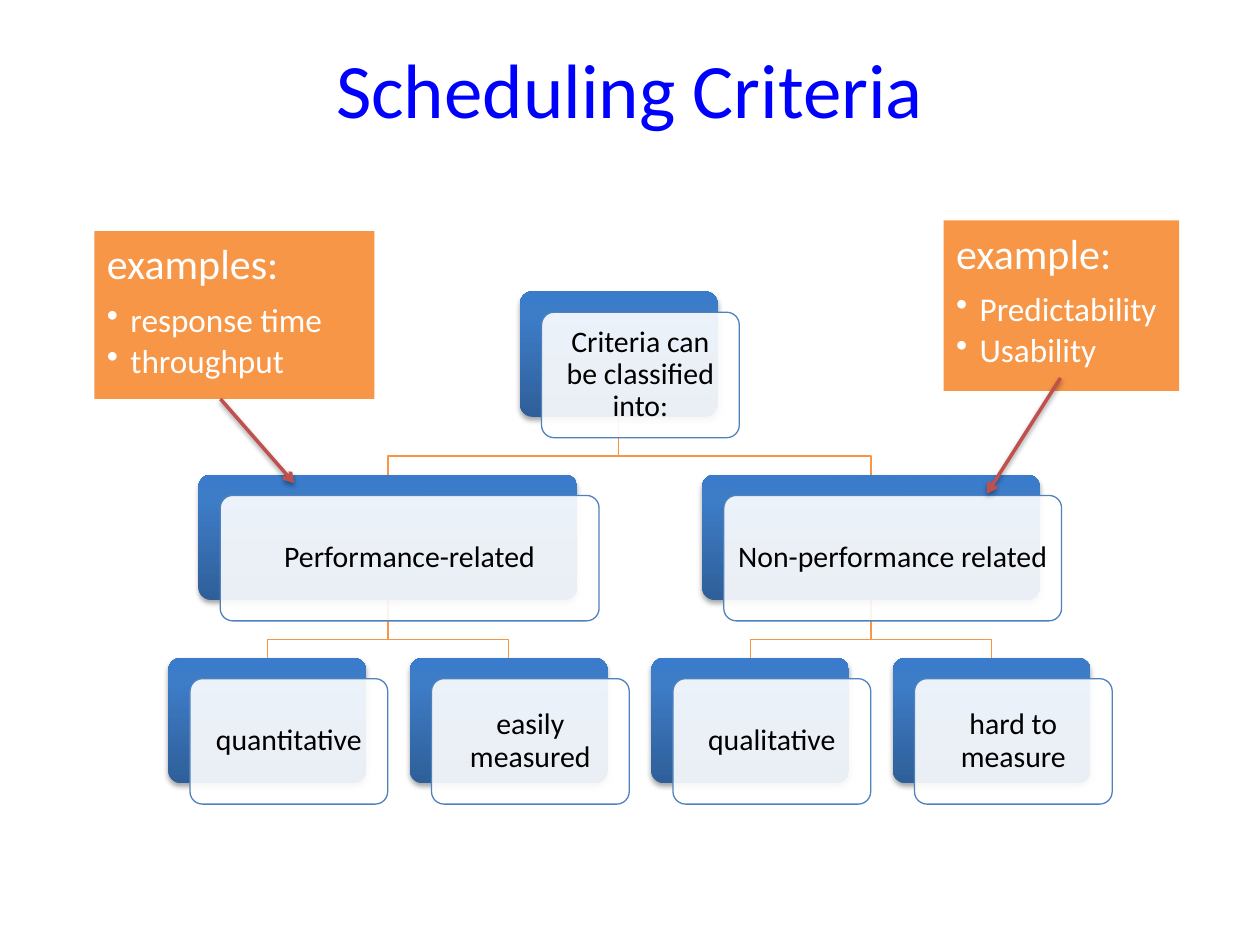
from dataclasses import dataclass

from lxml import etree
from pptx import Presentation
from pptx.dml.color import RGBColor
from pptx.enum.shapes import MSO_CONNECTOR, MSO_SHAPE
from pptx.enum.text import MSO_ANCHOR, PP_ALIGN
from pptx.oxml import parse_xml
from pptx.oxml.ns import nsdecls, qn
from pptx.util import Pt

CENTER, LEFT = PP_ALIGN.CENTER, PP_ALIGN.LEFT
MIDDLE, TOP = MSO_ANCHOR.MIDDLE, MSO_ANCHOR.TOP
RECT, ROUNDED = MSO_SHAPE.RECTANGLE, MSO_SHAPE.ROUNDED_RECTANGLE
STRAIGHT = MSO_CONNECTOR.STRAIGHT

FONT = "Calibri"
COLORS = {
    "title": "0000FF", "black": "000000", "white": "FFFFFF",
    "orange": "F79646", "outline": "4F81BD", "arrow": "C0504D",
}
CARD_GRADIENT = ((0, "2F5F99"), (80, "3D7CC7"), (100, "3A7CCB"))

LEVEL_TOP, LEVEL_STEP = 166.5, 104.7
LEAF_X, LEAF_STEP = 152.7, 138
LEAF_W, CARD_H = 113, 71.7
CARD_DX, CARD_DY = 12.4, 11.9
ELBOW_RISE = 10.6


@dataclass
class Node:
    text: str
    x: float  # centre of the back card
    level: int
    width: float = LEAF_W
    parent: "Node | None" = None

    @property
    def top(self) -> float:
        return LEVEL_TOP + self.level * LEVEL_STEP


@dataclass
class Callout:
    heading: str
    items: tuple[str, ...]
    box: tuple[float, float, float, float]
    arrow: tuple[float, float, float, float]


def rgb(name: str) -> RGBColor:
    return RGBColor.from_string(COLORS[name])


def add_text(tf, text: str, *, size: float, color: str, align=CENTER,
             anchor=MIDDLE, inset: float = 7.2, spacing: float = 1.0,
             after: float = 0, bullet: bool = False, first: bool = True) -> None:
    """Write one paragraph; the first one also sets up the text frame."""
    if first:
        tf.word_wrap = True
        tf.vertical_anchor = anchor
        tf.margin_left = tf.margin_right = Pt(inset)
        tf.margin_top = tf.margin_bottom = Pt(inset)
    p = tf.paragraphs[0] if first else tf.add_paragraph()
    if bullet:
        ppr = p._p.get_or_add_pPr()
        ppr.set("marL", str(Pt(13.5)))
        ppr.set("indent", str(-Pt(13.5)))
        etree.SubElement(ppr, qn("a:buChar")).set("char", "•")
    p.alignment, p.line_spacing, p.space_after = align, spacing, Pt(after)
    r = p.add_run()
    r.text = text
    r.font.name, r.font.size, r.font.color.rgb = FONT, Pt(size), rgb(color)


def add_shadow(s, alpha: int, distance: float) -> None:
    """Append a soft downward shadow after the fill and line settings."""
    s._element.spPr.append(parse_xml(
        f'<a:effectLst {nsdecls("a")}><a:outerShdw blurRad="{Pt(3.1)}" '
        f'dist="{Pt(distance)}" dir="5400000" rotWithShape="0">'
        f'<a:srgbClr val="{COLORS["black"]}"><a:alpha val="{alpha * 1000}"/>'
        "</a:srgbClr></a:outerShdw></a:effectLst>"))


def add_box(slide, kind, x: float, y: float, w: float, h: float):
    s = slide.shapes.add_shape(kind, Pt(x), Pt(y), Pt(w), Pt(h))
    s.line.fill.background()
    if kind == ROUNDED:
        s.adjustments[0] = 0.1
    return s


def draw_link(slide, child: Node) -> None:
    parent = child.parent
    bend = child.top - ELBOW_RISE
    builder = slide.shapes.build_freeform(Pt(parent.x), Pt(parent.top + CARD_H))
    points = ((parent.x, bend), (child.x, bend), (child.x, child.top))
    builder.add_line_segments([(Pt(x), Pt(y)) for x, y in points], close=False)
    s = builder.convert_to_shape()
    s.fill.background()
    s.line.color.rgb, s.line.width = rgb("orange"), Pt(0.75)
    s.shadow.inherit = False


def draw_node(slide, node: Node) -> None:
    """Draw a gradient card with a translucent labelled card over it."""
    x = node.x - node.width / 2
    back = add_box(slide, ROUNDED, x, node.top, node.width, CARD_H)
    stops = "".join(f'<a:gs pos="{pos * 1000}"><a:srgbClr val="{color}"/></a:gs>'
                    for pos, color in CARD_GRADIENT)
    back._element.spPr.find(qn("a:prstGeom")).addnext(parse_xml(
        f'<a:gradFill {nsdecls("a")} rotWithShape="1"><a:gsLst>{stops}</a:gsLst>'
        '<a:lin ang="16200000" scaled="0"/></a:gradFill>'))
    add_shadow(back, 35, 1.8)

    front = add_box(slide, ROUNDED, x + CARD_DX, node.top + CARD_DY,
                    node.width, CARD_H)
    front.fill.solid()
    front.fill.fore_color.rgb = rgb("white")
    color = front._element.spPr.find(qn("a:solidFill"))[0]
    etree.SubElement(color, qn("a:alpha")).set("val", "90000")
    front.line.color.rgb, front.line.width = rgb("outline"), Pt(0.75)
    front.shadow.inherit = False
    add_text(front.text_frame, node.text, size=17, color="black",
             inset=5, spacing=0.9)


def draw_callout(slide, callout: Callout) -> None:
    s = add_box(slide, RECT, *callout.box)
    s.fill.solid()
    s.fill.fore_color.rgb = rgb("orange")
    s.shadow.inherit = False
    add_text(s.text_frame, callout.heading, size=24, color="white", align=LEFT,
             anchor=TOP, spacing=0.9, after=8.4)
    for item in callout.items:
        add_text(s.text_frame, item, size=19, color="white", align=LEFT,
                 spacing=0.9, after=2.9, bullet=True, first=False)

    arrow = slide.shapes.add_connector(STRAIGHT, *(Pt(v) for v in callout.arrow))
    arrow.line.color.rgb, arrow.line.width = rgb("arrow"), Pt(2)
    etree.SubElement(arrow.line._get_or_add_ln(), qn("a:tailEnd")).set("type", "arrow")
    add_shadow(arrow, 38, 1.6)


def main() -> None:
    prs = Presentation()
    prs.slide_width, prs.slide_height = Pt(720), Pt(540)
    slide = prs.slides.add_slide(prs.slide_layouts[6])

    title = slide.shapes.add_textbox(Pt(12), Pt(16.5), Pt(696), Pt(67))
    add_text(title.text_frame, "Scheduling Criteria", size=44, color="title",
             inset=3.6)

    root = Node("Criteria can be classified into:", 353.6, 0)
    branch_x = LEAF_X + LEAF_STEP / 2
    performance = Node("Performance-related", branch_x, 1, 216.5, root)
    other = Node("Non-performance related", branch_x + 2 * LEAF_STEP, 1, 193, root)
    leaves = (("quantitative", performance), ("easily measured", performance),
              ("qualitative", other), ("hard to measure", other))
    nodes = [root, performance, other]
    nodes += [Node(text, LEAF_X + i * LEAF_STEP, 2, parent=parent)
              for i, (text, parent) in enumerate(leaves)]
    for node in nodes[1:]:
        draw_link(slide, node)
    for node in nodes:
        draw_node(slide, node)

    callouts = (
        Callout("examples:", ("response time", "throughput"),
                (54, 132, 160, 96), (126, 228, 168, 276)),
        Callout("example:", ("Predictability", "Usability"),
                (539.3, 126, 134.6, 97.4), (606, 216, 564, 282)),
    )
    for callout in callouts:
        draw_callout(slide, callout)

    prs.save("out.pptx")


if __name__ == "__main__":
    main()
